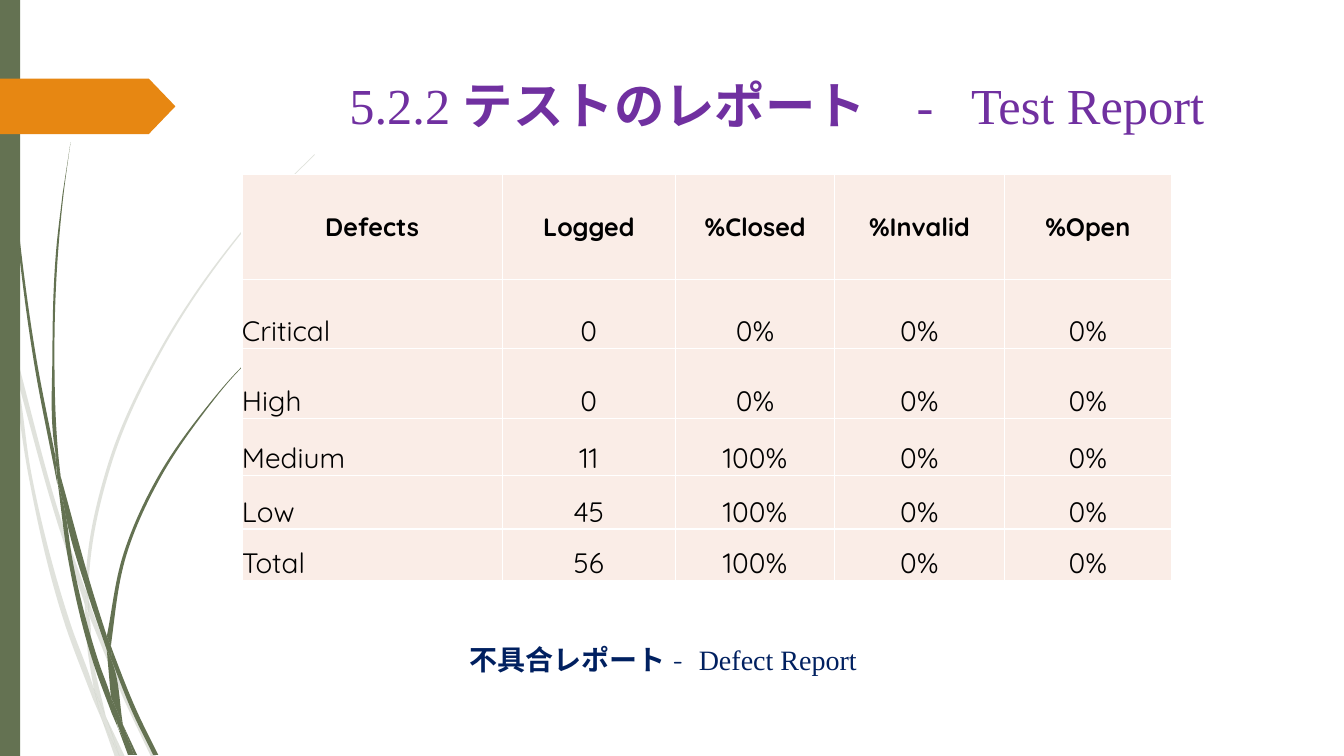
from itertools import pairwise
from math import dist, hypot

from lxml.etree import SubElement
from pptx import Presentation
from pptx.dml.color import RGBColor
from pptx.enum.shapes import MSO_SHAPE
from pptx.enum.text import MSO_ANCHOR, MSO_AUTO_SIZE, PP_ALIGN
from pptx.oxml.ns import qn
from pptx.util import Inches, Pt

OLIVE = RGBColor(0x64, 0x72, 0x52)
ORANGE = RGBColor(0xE7, 0x87, 0x12)
PURPLE = RGBColor(0x70, 0x30, 0xA0)
NAVY = RGBColor(0x00, 0x20, 0x60)
BLUSH = RGBColor(0xFA, 0xED, 0xE7)
BLACK = RGBColor(0, 0, 0)
SERIF, SANS, CJK = "Times New Roman", "Quicksand", "Noto Sans CJK SC"

PALE_BLADES = [
    ([(0, 2.82), (.09, 3.22), (.11, 3.5)], [(.1, 3.44), (0, 2.99)]),
    ([(.14, 3.45), (.62, 5.2), (.85, 5.86)], [(.84, 5.99), (.58, 5.22), (.17, 3.76)]),
    ([(.88, 5.96), (.92, 6.07), (1.27, 6.92), (1.55, 7.51)], [(1.5, 7.51), (1.23, 6.94), (.88, 6.1)]),
    ([(1.05, 7.11), (1.24, 7.51)], [(1.19, 7.51), (1.05, 7.11)]),
    ([(.11, 3.5), (.17, 3.76), (.31, 4.69), (.7, 6.19), (.93, 6.83), (1.01, 7.14)],
     [(.92, 6.93), (.65, 6.21), (.28, 4.7), (.11, 3.5)]),
    ([(.84, 5.99), (.88, 6.1), (.91, 6.46), (1.05, 7.11)], [(.93, 6.83), (.87, 6.46), (.84, 5.99)]),
    ([(.88, 5.96), (.88, 5.84), (1.1, 4.62), (1.6, 3.49), (2.29, 2.45), (2.68, 1.98), (3.12, 1.54)],
     [(3.12, 1.53), (2.68, 1.97), (2.28, 2.44), (1.58, 3.48), (1.07, 4.61), (.85, 5.84), (.85, 5.86)]),
    ([(1.01, 7.14), (1.14, 7.51)], [(1.19, 7.51), (1.01, 7.14)]),
    ([(.85, 5.86), (.88, 5.96), (.88, 6.1)], [(.88, 6.08), (.84, 5.99)]),
    ([(.93, 6.83), (1.05, 7.11), (1.19, 7.51)], [(1.01, 7.14), (.93, 6.83)]),
]
DARK_BLADES = [
    ([(.03, 0), (.04, .48), (.07, 1.1), (.17, 2.33), (.33, 3.55), (.57, 4.81)],
     [(.55, 4.53), (.36, 3.55), (.19, 2.32), (.08, 1.09), (.05, .48), (.04, 0)]),
    ([(.6, 4.72), (.93, 5.9), (1.06, 6.31)], [(1.06, 6.45), (.88, 5.92), (.64, 5.05), (.6, 4.72)]),
    ([(1.1, 6.41), (1.13, 6.49), (1.36, 7.06), (1.57, 7.49)], [(1.52, 7.49), (1.32, 7.08), (1.11, 6.56)]),
    ([(.57, 4.77), (.64, 5.05), (.72, 5.56), (.98, 6.57), (1.1, 6.91), (1.17, 7.22)],
     [(1.11, 7.08), (.93, 6.59), (.68, 5.57), (.57, 4.77)]),
    ([(.6, 4.72), (.58, 4.53), (.54, 3.49), (.58, 2.45), (.63, 1.93), (.7, 1.41)],
     [(.62, 1.93), (.56, 2.45), (.52, 3.49), (.55, 4.49), (.6, 4.72)]),
    ([(1.22, 7.19), (1.36, 7.49)], [(1.33, 7.49), (1.22, 7.19)]),
    ([(.55, 4.49), (.6, 4.72), (.64, 5.05)], [(.57, 4.77), (.55, 4.53)]),
    ([(1.1, 6.41), (1.11, 6.33), (1.25, 5.52), (1.58, 4.76), (2.05, 4.06), (2.31, 3.74), (2.61, 3.44)],
     [(2.6, 3.44), (2.31, 3.73), (2.04, 4.05), (1.56, 4.74), (1.22, 5.51), (1.06, 6.31)]),
    ([(1.17, 7.22), (1.27, 7.49)], [(1.31, 7.49), (1.17, 7.22)]),
    ([(1.06, 6.45), (1.11, 6.56), (1.22, 7.19)], [(1.1, 6.91), (1.06, 6.45)]),
    ([(1.06, 6.31), (1.1, 6.41), (1.11, 6.56)], [(1.06, 6.45), (1.06, 6.31)]),
    ([(1.1, 6.91), (1.22, 7.19), (1.33, 7.49)], [(1.3, 7.49), (1.16, 7.17), (1.1, 6.91)]),
]
DEFECTS = [
    ("Defects", "Logged", "%Closed", "%Invalid", "%Open"),
    ("Critical", "0", "0%", "0%", "0%"),
    ("High", "0", "0%", "0%", "0%"),
    ("Medium", "11", "100%", "0%", "0%"),
    ("Low", "45", "100%", "0%", "0%"),
    ("Total", "56", "100%", "0%", "0%"),
]
COLUMN_WIDTHS = [2.58, 1.72, 1.58, 1.68, 1.66]
ROW_HEIGHTS = [1.04, .69, .69, .57, .53, .51]


def add_text(paragraph, text, size=20, font=SANS, color=BLACK, bold=False):
    """Append one formatted run to a paragraph."""
    run = paragraph.add_run()
    run.text = text
    run.font.size, run.font.name, run.font.bold = Pt(size), font, bold
    run.font.color.rgb = color
    SubElement(run.font._element, qn("a:ea"), typeface=font)


def paint(shape, color, opacity=100):
    """Give a shape a flat fill with no line or shadow."""
    shape.shadow.inherit = False
    shape.line.fill.background()
    shape.fill.solid()
    shape.fill.fore_color.rgb = color
    if opacity < 100:
        tint = shape.fill._xPr.find(qn("a:solidFill"))[0]
        SubElement(tint, qn("a:alpha"), val=str(opacity * 1000))


def bend(edge):
    """Return the two curve handles of each stretch of a blade's edge."""
    units = [((c - a) / dist(p, q), (d - b) / dist(p, q))
             for p, q in pairwise(edge) for (a, b), (c, d) in [(p, q)]]
    slopes = [units[0]]
    for (p, q, r), (u, v) in zip(zip(edge, edge[1:], edge[2:]), pairwise(units)):
        before, after = dist(p, q), dist(q, r)
        x, y = (after * i + before * j for i, j in zip(u, v))
        slopes.append((x / hypot(x, y), y / hypot(x, y)))
    slopes.append(units[-1])
    handles = []
    for (p, q), ((a, b), (c, d)) in zip(pairwise(edge), pairwise(slopes)):
        reach = dist(p, q) / 3
        handles.append([(p[0] + a * reach, p[1] + b * reach), (q[0] - c * reach, q[1] - d * reach)])
    return handles


def draw_blades(slide, left, top, blades, opacity=100):
    """Draw a clump of curved grass blades from their paired edges."""
    for outer, inner in blades:
        outline = [(Inches(left + x), Inches(top + y)) for x, y in outer + inner]
        builder = slide.shapes.build_freeform(*outline[0])
        builder.add_line_segments(outline[1:], close=True)
        blade = builder.convert_to_shape()
        paint(blade, OLIVE, opacity)
        stretches = list(blade._element.iter(qn("a:lnTo")))
        for stretch, handles in zip(stretches, bend(outer) + [[]] + bend(inner)):
            if handles:
                stretch.tag = qn("a:cubicBezTo")
            for index, (x, y) in enumerate(handles):
                stretch.insert(index, stretch.makeelement(qn("a:pt"), {
                    "x": str(Inches(left + x) - blade.left), "y": str(Inches(top + y) - blade.top)}))


def draw_margin(slide, left, top, height):
    """Draw the grass, the side bar and the orange marker."""
    draw_blades(slide, left, top, PALE_BLADES, opacity=20)
    draw_blades(slide, left, top, DARK_BLADES)
    bar = slide.shapes.add_shape(
        MSO_SHAPE.RECTANGLE, Inches(left), Inches(top), Inches(.2), Inches(height))
    paint(bar, OLIVE)
    marker = slide.shapes.add_shape(
        MSO_SHAPE.PENTAGON, Inches(left), Inches(top + .78), Inches(1.74), Inches(.55))
    marker.adjustments[0] = .48
    paint(marker, ORANGE)


def write_title(slide, left, top, width, height):
    """Place and fill the title placeholder."""
    title = slide.shapes.title
    title.left, title.top, title.width, title.height = map(Inches, (left, top, width, height))
    frame = title.text_frame
    frame.auto_size = MSO_AUTO_SIZE.NONE
    frame.vertical_anchor = MSO_ANCHOR.MIDDLE
    heading = frame.paragraphs[0]
    heading.alignment = PP_ALIGN.CENTER
    add_text(heading, "5.2.2 ", size=36, font=SERIF, color=PURPLE)
    add_text(heading, "テストのレポート　", size=36, font=CJK, color=PURPLE, bold=True)
    add_text(heading, "-   Test Report", size=36, font=SERIF, color=PURPLE)


def border_cell(cell):
    """Outline a cell with thin white lines."""
    properties = cell._tc.get_or_add_tcPr()
    for index, side in enumerate(("a:lnL", "a:lnR", "a:lnT", "a:lnB")):
        line = properties.makeelement(qn(side), {"w": str(Pt(1))})
        properties.insert(index, line)
        SubElement(SubElement(line, qn("a:solidFill")), qn("a:srgbClr"), val="FFFFFF")


def fill_cell(cell, text, is_header, is_label):
    """Format and fill one table cell."""
    cell.margin_left = cell.margin_right = cell.margin_top = cell.margin_bottom = 0
    cell.vertical_anchor = MSO_ANCHOR.MIDDLE if is_header else MSO_ANCHOR.BOTTOM
    cell.fill.solid()
    cell.fill.fore_color.rgb = BLUSH
    border_cell(cell)
    entry = cell.text_frame.paragraphs[0]
    entry.alignment = PP_ALIGN.LEFT if is_label and not is_header else PP_ALIGN.CENTER
    add_text(entry, text, size=18 if is_header else 20, bold=is_header)


def draw_defects(slide, left, top):
    """Build the defect table."""
    defects = slide.shapes.add_table(
        len(DEFECTS), len(COLUMN_WIDTHS), Inches(left), Inches(top),
        Inches(sum(COLUMN_WIDTHS)), Inches(sum(ROW_HEIGHTS))).table
    defects.first_row = defects.horz_banding = False
    for column, width in zip(defects.columns, COLUMN_WIDTHS):
        column.width = Inches(width)
    for r, (row, height) in enumerate(zip(defects.rows, ROW_HEIGHTS)):
        row.height = Inches(height)
        for c, text in enumerate(DEFECTS[r]):
            fill_cell(defects.cell(r, c), text, r == 0, c == 0)


def write_caption(slide, left, top, width, height):
    """Write the caption under the table."""
    frame = slide.shapes.add_textbox(*map(Inches, (left, top, width, height))).text_frame
    frame.word_wrap = True
    frame.auto_size = MSO_AUTO_SIZE.SHAPE_TO_FIT_TEXT
    caption = frame.paragraphs[0]
    add_text(caption, "不具合レポート ", font=CJK, color=NAVY, bold=True)
    add_text(caption, "-  ", color=NAVY)
    add_text(caption, "Defect Report", font=SERIF, color=NAVY)


def main():
    """Build and save the test report slide."""
    deck = Presentation()
    deck.slide_width, deck.slide_height = Inches(13.33), Inches(7.5)
    slide = deck.slides.add_slide(deck.slide_layouts[5])
    draw_margin(slide, 0, 0, 7.5)
    write_title(slide, 2.83, .66, 9.75, .75)
    write_caption(slide, 4.56, 6.32, 5.25, .44)
    draw_defects(slide, 2.4, 1.73)
    deck.save("out.pptx")


if __name__ == "__main__":
    main()
